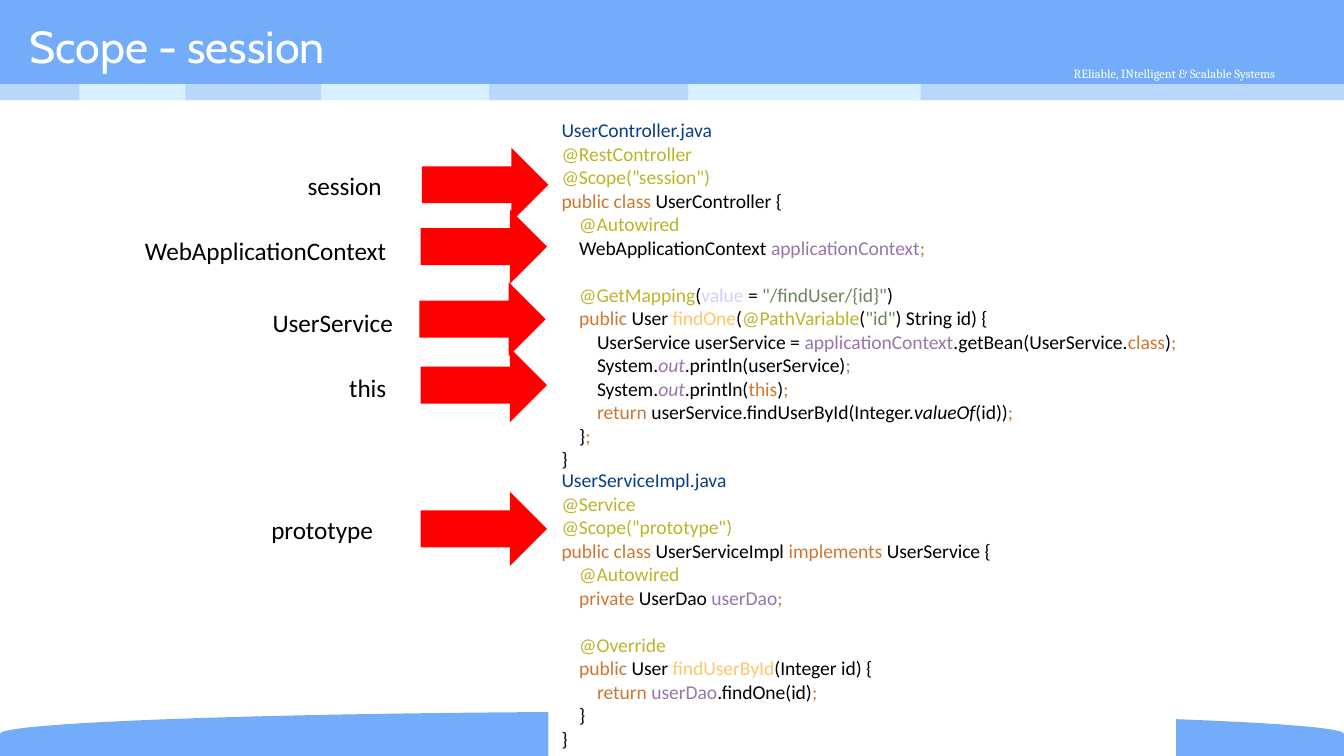
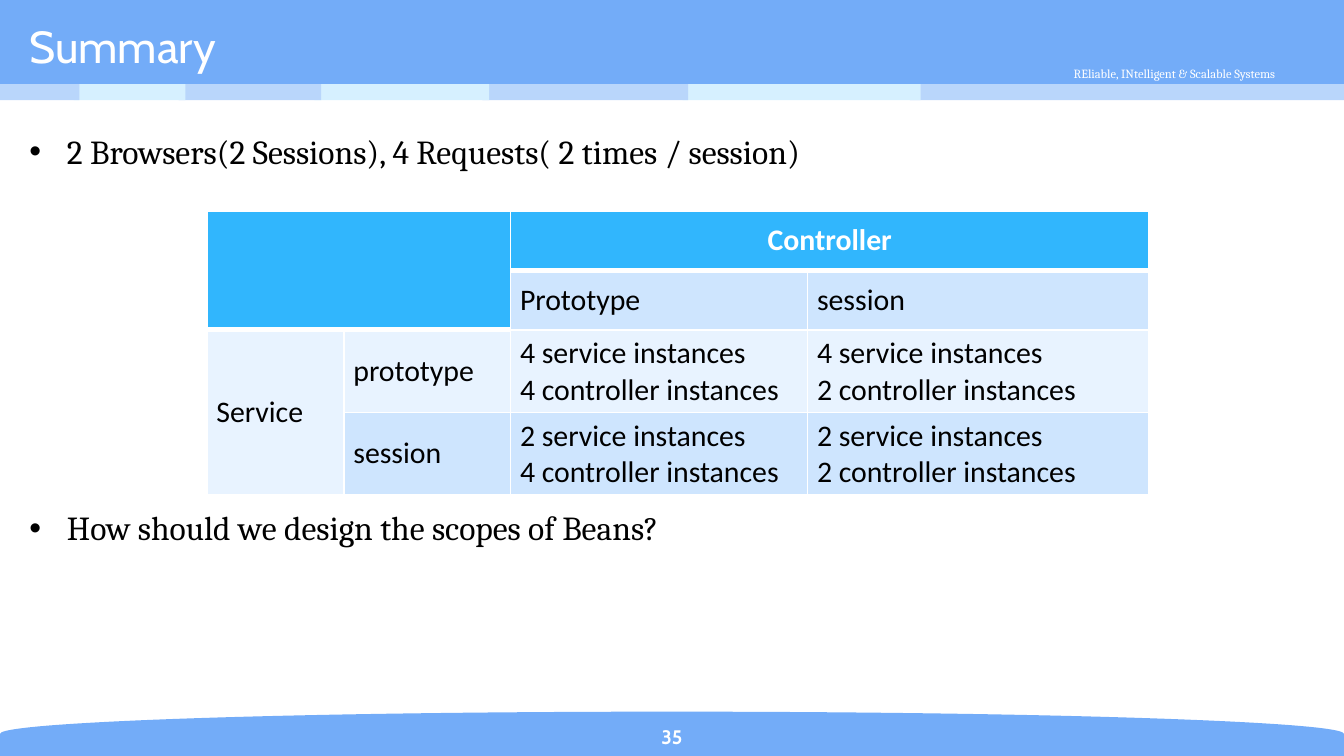
from pptx import Presentation
from pptx.dml.color import RGBColor
from pptx.enum.shapes import MSO_SHAPE as SHAPE
from pptx.enum.text import MSO_ANCHOR as ANCHOR, PP_ALIGN as ALIGN
from pptx.oxml.ns import qn
from pptx.util import Inches, Pt
from lxml.etree import SubElement

# Slide grid: square cells of a tenth of an inch; boxes are (x, y, w, h) in cells
COLS, ROWS = 100, 56.25
CELL = Inches(0.1)

WHITE = RGBColor(0xFF, 0xFF, 0xFF)
BLACK = RGBColor(0, 0, 0)
RED = RGBColor(0xFF, 0, 0)
BLUE = RGBColor(0x73, 0xAC, 0xF8)
BAND_MID = RGBColor(0xB9, 0xD6, 0xFB)
BAND_LIGHT = RGBColor(0xD6, 0xF0, 0xFF)
HEAD = RGBColor(0x31, 0xB6, 0xFD)
ROW_DARK = RGBColor(0xCE, 0xE5, 0xFE)
ROW_LIGHT = RGBColor(0xE8, 0xF3, 0xFF)

# Code styles: one letter opens each segment of a code line
STYLES = {
    "f": RGBColor(0x07, 0x3E, 0x87),  # file name
    "a": RGBColor(0xBB, 0xB5, 0x29),  # annotation
    "k": RGBColor(0xCC, 0x78, 0x32),  # keyword
    "t": BLACK,                       # plain
    "T": BLACK,                       # plain italic
    "v": RGBColor(0x98, 0x76, 0xAA),  # field
    "V": RGBColor(0x98, 0x76, 0xAA),  # field italic
    "m": RGBColor(0xFF, 0xC6, 0x6D),  # method
    "p": RGBColor(0xD0, 0xD0, 0xFF),  # parameter
    "s": RGBColor(0x6A, 0x87, 0x59),  # string
}
CODE_SIZE, CODE_LINE, CODE_INDENT = 10.5, 12.6, 1.32

# (indent level, segments); None stands for an empty line
CONTROLLER = [
    (0, "fUserController.java"),
    (0, "a@RestController"),
    (0, "a@Scope(”session\")"),
    (0, "kpublic class |tUserController {"),
    (1, "a@Autowired"),
    (1, "tWebApplicationContext |vapplicationContext|k;"),
    None,
    (1, "a@GetMapping|t(|pvalue |t= |s\"/findUser/{id}\"|t)"),
    (1, "kpublic |tUser |mfindOne|t(|a@PathVariable|t(|s\"id\"|t) String id) {"),
    (2, "tUserService userService = |vapplicationContext"
        "|t.getBean(UserService.|kclass|t)|k;"),
    (2, "tSystem.|Vout|t.println(userService)|k;"),
    (2, "tSystem.|Vout|t.println(|kthis|t)|k;"),
    (2, "kreturn |tuserService.findUserById(Integer.|TvalueOf|t(id))|k;"),
    (1, "t}|k;"),
    (0, "t}"),
]
SERVICE = [
    (0, "fUserServiceImpl.java"),
    (0, "a@Service"),
    (0, "a@Scope(”prototype\")"),
    (0, "kpublic class |tUserServiceImpl |kimplements |tUserService {"),
    (1, "a@Autowired"),
    (1, "kprivate |tUserDao |vuserDao|k;"),
    None,
    (1, "a@Override"),
    (1, "kpublic |tUser |mfindUserById|t(Integer id) {"),
    (2, "kreturn |vuserDao|t.findOne(id)|k;"),
    (1, "t}"),
    (0, "t}"),
]
# Arrow left and top, then label left, top, width and text
POINTERS = [
    (31.4, 11, 21.9, 12.2, 9.4, "session"),
    (31.3, 15.6, 9.8, 17, 22.2, "WebApplicationContext"),
    (31.2, 21, 19.3, 22.4, 12.1, "UserService"),
    (31.3, 25.9, 25, 27.2, 5.7, "this"),
    (31.3, 36.6, 19.2, 37.8, 12.1, "prototype"),
]


def cells(*lengths):
    return [round(n * CELL) for n in lengths]


def add_run(p, text, size=13.5, font="Calibri", color=BLACK, bold=False, italic=False):
    r = p.add_run()
    r.text = text
    f = r.font
    f.size, f.name, f.bold, f.italic = Pt(size), font, bold, italic
    f.color.rgb = color


def add_text(s, box, text, align=ALIGN.LEFT, anchor=ANCHOR.TOP, wrap=True, **fmt):
    tf = s.shapes.add_textbox(*cells(*box)).text_frame
    tf.word_wrap, tf.vertical_anchor = wrap, anchor
    p = tf.paragraphs[0]
    p.alignment = align
    add_run(p, text, **fmt)
    return tf


def add_block(s, kind, box, color):
    sp = s.shapes.add_shape(kind, *cells(*box))
    sp.shadow.inherit = False
    sp.fill.solid()
    sp.fill.fore_color.rgb = color
    sp.line.fill.background()
    return sp


def set_indent(p, left, first=0):
    pPr = p._p.get_or_add_pPr()
    left, first = cells(left, first)
    pPr.set("marL", str(left))
    pPr.set("indent", str(first))
    return pPr


def add_frame(s, title):
    # Curved footer, then the header
    thick = 3.3
    foot = add_block(s, SHAPE.FLOWCHART_DELAY,
                     ((COLS - thick) / 2, 4.6, thick, COLS), BLUE)
    foot.rotation = 270
    add_block(s, SHAPE.RECTANGLE, (0, 0, COLS, 6.5), BLUE)
    add_text(s, (75.2, 4.4, 24.4, 2.1), "REliable, INtelligent & Scalable Systems",
             align=ALIGN.CENTER, size=6.75, font="Cambria", color=WHITE)
    # Alternating strip under the header, drawn from right to left
    starts = [0, 5.5, 13.3, 23.4, 35.9, 50.8, 67.7]
    ends = [5.9, 13.8, 23.9, 36.4, 51.2, 68.5, COLS]
    for i in reversed(range(len(starts))):
        color = BAND_LIGHT if i % 2 else BAND_MID
        add_block(s, SHAPE.RECTANGLE, (starts[i], 6.25, ends[i] - starts[i], 1.2), color)
    add_text(s, (1.2, 1.15, 74.6, 4.5), title, anchor=ANCHOR.MIDDLE,
             size=24, font="Cabin", color=WHITE)


def fill_code(tf, lines):
    tf.word_wrap, tf.vertical_anchor = True, ANCHOR.TOP
    p, gap = tf.paragraphs[0], 0
    for line in lines:
        if line is None:
            gap = CODE_LINE
            continue
        level, segments = line
        if p.runs:
            p = tf.add_paragraph()
        p.alignment, p.space_before = ALIGN.LEFT, Pt(gap)
        set_indent(p, level * CODE_INDENT)
        for seg in segments.split("|"):
            add_run(p, seg[1:], size=CODE_SIZE, color=STYLES[seg[0]],
                    italic=seg[0].isupper())
        gap = 0


def add_pointer(s, x, y, left, top, width, label):
    add_block(s, SHAPE.RIGHT_ARROW, (x, y, 9.4, 5.5), RED)
    add_text(s, (left, top, width, 3.3), label, wrap=False)


def add_bullets(s, box, items):
    tf = add_text(s, box, items[0][1], size=18, font="Cambria")
    for _, text in items[1:]:
        add_run(tf.add_paragraph(), text, size=18, font="Cambria")
    for p, (before, _) in zip(tf.paragraphs, items):
        p.space_before = Pt(before)
        pPr = set_indent(p, 2.8, -2.8)
        SubElement(pPr, qn("a:buFont")).set("typeface", "Arial")
        SubElement(pPr, qn("a:buChar")).set("char", "•")


def set_cell(cell, text, fill, bottom=1, align=ALIGN.LEFT, **fmt):
    cell.vertical_anchor = ANCHOR.MIDDLE
    cell.margin_left = cell.margin_right = Inches(0.07)
    cell.margin_top = cell.margin_bottom = Inches(0.04)
    tf = cell.text_frame
    for i, line in enumerate(text.split("\n") if text else []):
        p = tf.add_paragraph() if i else tf.paragraphs[0]
        p.alignment = align
        add_run(p, line, size=16, **fmt)
    # Borders come before the fill in the cell properties
    tcPr = cell._tc.get_or_add_tcPr()
    for side, width in (("L", 1), ("R", 1), ("T", 1), ("B", bottom)):
        ln = SubElement(tcPr, qn("a:ln" + side), w=str(Pt(width)))
        SubElement(SubElement(ln, qn("a:solidFill")), qn("a:srgbClr"), val=str(WHITE))
    cell.fill.solid()
    cell.fill.fore_color.rgb = fill


def add_scope_table(s, box):
    widths, heights = (10.2, 12.4, 22.1, 25.4), (4.3, 4.3, 5.8, 5.8)
    tbl = s.shapes.add_table(4, 4, *cells(*box)).table
    for col, w in zip(tbl.columns, widths):
        col.width = round(w * CELL)
    # Rows share the height of the box
    for row, h in zip(tbl.rows, heights):
        row.height = round(h / sum(heights) * box[3] * CELL)
    for (r1, c1), (r2, c2) in (((0, 0), (1, 1)), ((0, 2), (0, 3)), ((2, 0), (3, 0))):
        tbl.cell(r1, c1).merge(tbl.cell(r2, c2))

    def counts(service, controller):
        return f"{service} service instances\n{controller} controller instances"

    # Header cells
    for r, c in ((0, 0), (0, 1), (1, 0), (1, 1), (0, 3)):
        set_cell(tbl.cell(r, c), "", HEAD, bottom=3)
    set_cell(tbl.cell(0, 2), "Controller", HEAD, bottom=3, align=ALIGN.CENTER,
             color=WHITE, bold=True)
    # Body cells
    body = [
        (1, 2, ROW_DARK, ["Prototype", "session"]),
        (2, 0, ROW_LIGHT, ["Service", "prototype", counts(4, 4), counts(4, 2)]),
        (3, 0, ROW_DARK, ["", "session", counts(2, 4), counts(2, 2)]),
    ]
    for r, first, fill, texts in body:
        for c, text in enumerate(texts, first):
            set_cell(tbl.cell(r, c), text, fill)


def build_session(s):
    add_frame(s, "Scope - session")
    panel = add_block(s, SHAPE.RECTANGLE, (40.8, 34.35, 46.7, 22.2), WHITE)
    fill_code(panel.text_frame, SERVICE)
    listing = s.shapes.add_textbox(*cells(40.8, 8.3, 58.3, 27.5))
    fill_code(listing.text_frame, CONTROLLER)
    for pointer in POINTERS:
        add_pointer(s, *pointer)


def build_summary(s):
    add_frame(s, "Summary")
    add_bullets(s, (1.2, 9.25, 96.1, 43.1), [
        (4, "2 Browsers(2 Sessions), 4 Requests( 2 times / session)"),
        (180, "How should we design the scopes of Beans?"),
    ])
    add_text(s, (44.5, 53.5, 11, 2.6), "35", align=ALIGN.CENTER, anchor=ANCHOR.MIDDLE,
             size=10.5, font="Cabin", color=WHITE, bold=True)
    add_scope_table(s, (15.4, 15.7, 70.1, 20.8))


def main():
    prs = Presentation()
    prs.slide_width, prs.slide_height = cells(COLS, ROWS)
    for build in (build_session, build_summary):
        build(prs.slides.add_slide(prs.slide_layouts[6]))
    prs.save("out.pptx")


if __name__ == "__main__":
    main()
